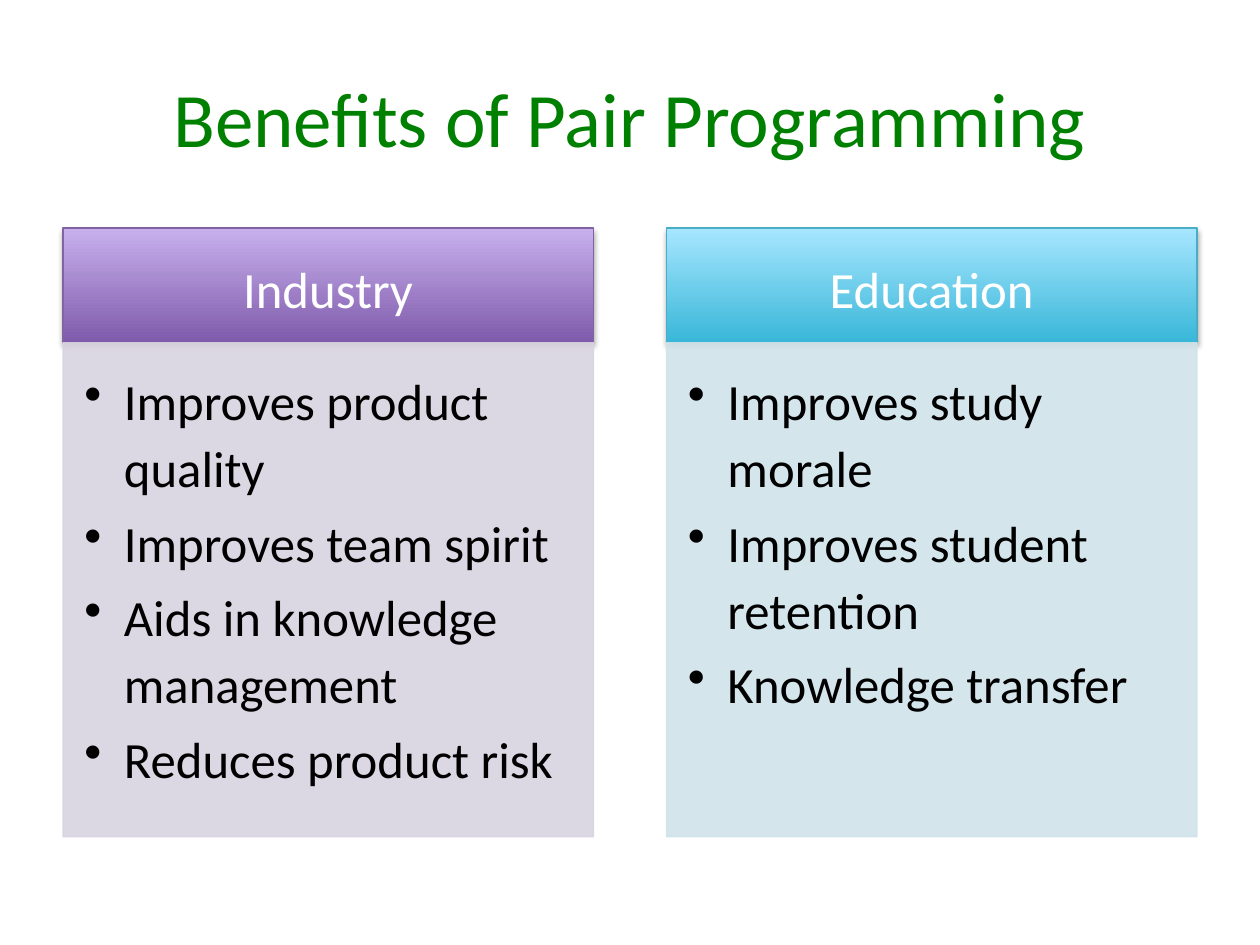
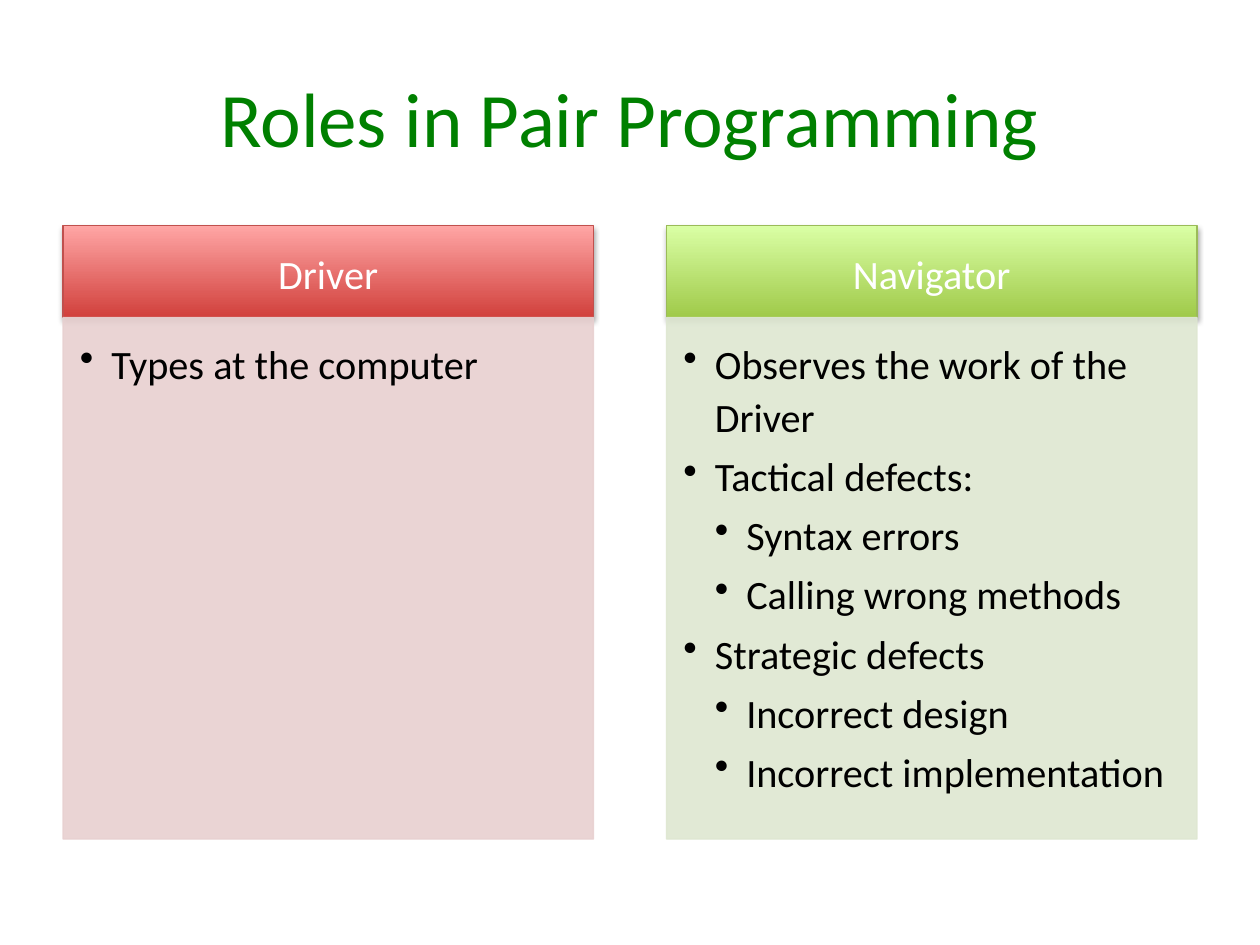
from dataclasses import dataclass

from lxml import etree
from pptx import Presentation
from pptx.dml.color import RGBColor
from pptx.enum.shapes import MSO_SHAPE
from pptx.enum.text import MSO_ANCHOR, PP_ALIGN
from pptx.oxml.ns import qn
from pptx.util import Inches, Pt

RECTANGLE = MSO_SHAPE.RECTANGLE
TOP, MIDDLE = MSO_ANCHOR.TOP, MSO_ANCHOR.MIDDLE
LEFT, CENTER = PP_ALIGN.LEFT, PP_ALIGN.CENTER

# Shared style
FONT = "Calibri"
GREEN = RGBColor(0x00, 0x80, 0x00)
BLACK = RGBColor(0x00, 0x00, 0x00)
WHITE = RGBColor(0xFF, 0xFF, 0xFF)
TITLE_SIZE = 44
LINE_WIDTH = Pt(0.75)
LINE_SPACING = 1.1
BODY_OPACITY = 90

# Grid, in inches: two columns that fill the space between the margins
SLIDE_WIDTH, SLIDE_HEIGHT = 10, 7.5
MARGIN = 0.5
CONTENT_WIDTH = SLIDE_WIDTH - 2 * MARGIN
TITLE_TOP, TITLE_HEIGHT = 0.3, 1.25
COLUMN_WIDTH = 4.21
COLUMN_STEP = CONTENT_WIDTH - COLUMN_WIDTH

# Insets (left, top, right, bottom), indent and gaps as shares of the text size
HEADER_INSETS = (0.56, 0.32, 0.56, 0.32)
BODY_INSETS = (0.42, 0.42, 0.56, 0.63)
INDENT = 0.78
HEADER_GAP, BULLET_GAP = 0.35, 0.15


@dataclass(frozen=True)
class Palette:
    dark: RGBColor
    light: RGBColor
    edge: RGBColor
    body: RGBColor


@dataclass(frozen=True)
class Bullet:
    text: str
    level: int = 1


@dataclass(frozen=True)
class Column:
    heading: str
    palette: Palette
    bullets: tuple[Bullet, ...]


@dataclass(frozen=True)
class Comparison:
    title: str
    text_size: int
    top: float
    header_height: float
    body_height: float
    columns: tuple[Column, ...]


def palette(*codes: str) -> Palette:
    return Palette(*(RGBColor.from_string(code) for code in codes))


PURPLE = palette("7F5BAB", "C8B0ED", "8064A2", "D8D3E0")
AQUA = palette("39B7D8", "A7E6FF", "4BACC6", "D0E3EA")
RED = palette("D1403C", "FFA6A5", "C0504D", "E8D0D0")
LIME = palette("A0CA4A", "DAFFA5", "9BBB59", "DEE7D1")

COMPARISONS = (
    Comparison("Benefits of Pair Programming", 29, 1.81, 0.91, 3.92, (
        Column("Industry", PURPLE, (
            Bullet("Improves product quality"),
            Bullet("Improves team spirit"),
            Bullet("Aids in knowledge management"),
            Bullet("Reduces product risk"),
        )),
        Column("Education", AQUA, (
            Bullet("Improves study morale"),
            Bullet("Improves student retention"),
            Bullet("Knowledge transfer"),
        )),
    )),
    Comparison("Roles in Pair Programming", 23, 1.79, 0.73, 4.14, (
        Column("Driver", RED, (Bullet("Types at the computer"),)),
        Column("Navigator", LIME, (
            Bullet("Observes the work of the Driver"),
            Bullet("Tactical defects:"),
            Bullet("Syntax errors", 2),
            Bullet("Calling wrong methods", 2),
            Bullet("Strategic defects"),
            Bullet("Incorrect design", 2),
            Bullet("Incorrect implementation", 2),
        )),
    )),
)


def add_span(para, text: str, size: float, color: RGBColor) -> None:
    span = para.add_run()
    span.text = text
    span.font.name = FONT
    span.font.size = Pt(size)
    span.font.color.rgb = color


def add_title(page, text: str) -> None:
    box = page.shapes.add_textbox(Inches(MARGIN), Inches(TITLE_TOP),
                                  Inches(CONTENT_WIDTH), Inches(TITLE_HEIGHT))
    frame = box.text_frame
    frame.word_wrap = True
    frame.vertical_anchor = MIDDLE
    para = frame.paragraphs[0]
    para.alignment = CENTER
    add_span(para, text, TITLE_SIZE, GREEN)


def add_panel(page, left: float, top: float, height: float, edge: RGBColor,
              size: int, insets: tuple[float, ...], anchor):
    """Add an outlined rectangle whose insets follow its text size."""
    box = page.shapes.add_shape(RECTANGLE, Inches(left), Inches(top),
                                Inches(COLUMN_WIDTH), Inches(height))
    box.shadow.inherit = False
    box.line.color.rgb = edge
    box.line.width = LINE_WIDTH
    frame = box.text_frame
    frame.word_wrap = True
    frame.vertical_anchor = anchor
    (frame.margin_left, frame.margin_top,
     frame.margin_right, frame.margin_bottom) = (Pt(size * share) for share in insets)
    return box


def format_para(para, alignment, gap: float) -> None:
    para.alignment = alignment
    para.line_spacing = LINE_SPACING
    para.space_after = Pt(gap)


def set_gradient(box, bottom: RGBColor, top: RGBColor) -> None:
    box.fill.gradient()
    box.fill.gradient_angle = 90
    for stop, position, color in zip(box.fill.gradient_stops, (0, 1), (bottom, top)):
        stop.position = position
        stop.color.rgb = color


def add_shadow(box) -> None:
    effects = box.element.spPr.find(qn("a:effectLst"))
    shadow = etree.SubElement(effects, qn("a:outerShdw"), blurRad=str(Pt(3.1)),
                              dist=str(Pt(1.8)), dir=str(90 * 60000), rotWithShape="0")
    color = etree.SubElement(shadow, qn("a:srgbClr"), val=str(BLACK))
    etree.SubElement(color, qn("a:alpha"), val="35000")


def set_opacity(box, percent: int) -> None:
    for color in box.element.spPr.iter(qn("a:srgbClr")):
        etree.SubElement(color, qn("a:alpha"), val=str(percent * 1000))


def add_bullet(para, bullet: Bullet, size: int) -> None:
    format_para(para, LEFT, size * BULLET_GAP)
    para.level = bullet.level
    indent = Pt(size * INDENT)
    properties = para._p.get_or_add_pPr()
    properties.set("marL", str(indent * bullet.level))
    properties.set("indent", str(-indent))
    etree.SubElement(properties, qn("a:buChar"), char="•")
    add_span(para, bullet.text, size, BLACK)


def add_column(page, column: Column, left: float, layout: Comparison) -> None:
    size, colors = layout.text_size, column.palette

    # Header band
    header = add_panel(page, left, layout.top, layout.header_height, colors.edge,
                       size, HEADER_INSETS, MIDDLE)
    set_gradient(header, colors.dark, colors.light)
    add_shadow(header)
    para = header.text_frame.paragraphs[0]
    format_para(para, CENTER, size * HEADER_GAP)
    add_span(para, column.heading, size, WHITE)

    # Bulleted body
    body = add_panel(page, left, layout.top + layout.header_height, layout.body_height,
                     colors.body, size, BODY_INSETS, TOP)
    body.fill.solid()
    body.fill.fore_color.rgb = colors.body
    set_opacity(body, BODY_OPACITY)
    frame = body.text_frame
    for index, bullet in enumerate(column.bullets):
        para = frame.add_paragraph() if index else frame.paragraphs[0]
        add_bullet(para, bullet, size)


def main() -> None:
    deck = Presentation()
    deck.slide_width, deck.slide_height = Inches(SLIDE_WIDTH), Inches(SLIDE_HEIGHT)
    blank = deck.slide_layouts[6]
    for comparison in COMPARISONS:
        page = deck.slides.add_slide(blank)
        add_title(page, comparison.title)
        for index, column in enumerate(comparison.columns):
            add_column(page, column, MARGIN + index * COLUMN_STEP, comparison)
    deck.save("out.pptx")


if __name__ == "__main__":
    main()
